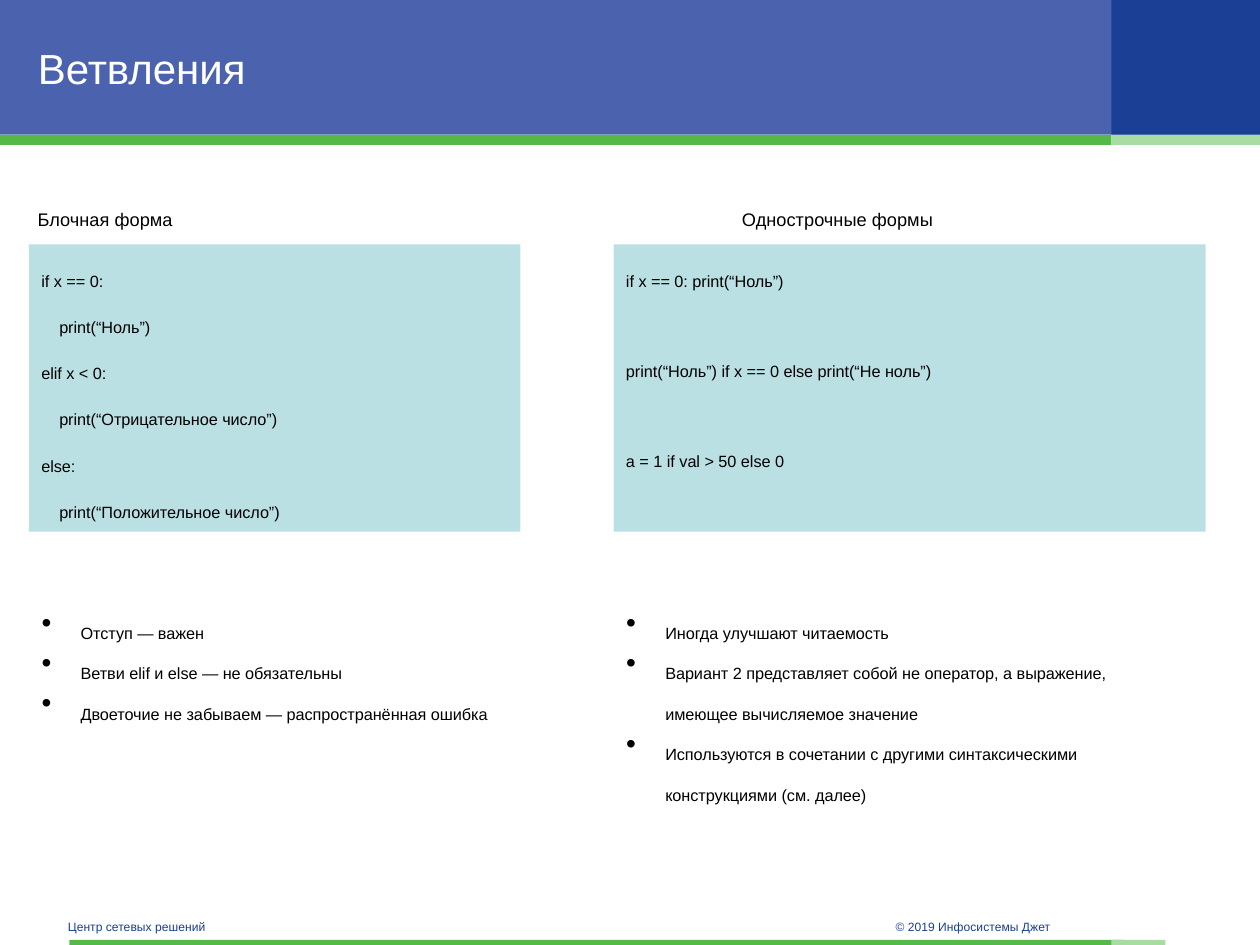
from lxml.etree import SubElement
from pptx import Presentation
from pptx.dml.color import RGBColor
from pptx.enum.shapes import MSO_SHAPE
from pptx.enum.text import MSO_ANCHOR, MSO_AUTO_SIZE, PP_ALIGN
from pptx.oxml.ns import qn
from pptx.util import Inches, Pt

BLUE = RGBColor(0x4B, 0x63, 0xAE)
NAVY = RGBColor(0x1B, 0x3F, 0x94)
GREEN = RGBColor(0x54, 0xB9, 0x48)
LIGHT_GREEN = RGBColor(0xA9, 0xDC, 0xA3)
PALE_TEAL = RGBColor(0xBB, 0xE0, 0xE3)
WHITE = RGBColor(0xFF, 0xFF, 0xFF)
BLACK = RGBColor(0x00, 0x00, 0x00)

SUBSCRIPT = "-33000"
LINE_GAP = 3.2
BLOCK_GAP = 28.2

BARS = [
    (0, 0, 10, 1.07, BLUE),
    (8.82, 0, 1.18, 1.07, NAVY),
    (0, 1.07, 8.82, 0.08, GREEN),
    (8.82, 1.07, 1.18, 0.08, LIGHT_GREEN),
    (0.55, 7.46, 8.37, 0.04, GREEN),
    (8.82, 7.46, 0.43, 0.04, LIGHT_GREEN),
]
BLOCK_CODE = [
    "if x == 0:",
    "    print(“Ноль”)",
    "elif x < 0:",
    "    print(“Отрицательное число”)",
    "else:",
    "    print(“Положительное число”)",
]
ONE_LINE_CODE = [
    "if x == 0: print(“Ноль”)",
    "print(“Ноль”) if x == 0 else print(“Не ноль”)",
    "a = 1 if val > 50 else 0",
]
BLOCK_NOTES = [
    "Отступ — важен",
    "Ветви elif и else — не обязательны",
    "Двоеточие не забываем — распространённая ошибка",
]
ONE_LINE_NOTES = [
    "Иногда улучшают читаемость",
    "Вариант 2 представляет собой не оператор, а выражение, имеющее вычисляемое значение",
    "Используются в сочетании с другими синтаксическими конструкциями (см. далее)",
]


def place(shape, left, top, width, height):
    shape.left, shape.top = Inches(left), Inches(top)
    shape.width, shape.height = Inches(width), Inches(height)


def format_spans(para, size, color):
    para.alignment = PP_ALIGN.LEFT
    for span in para.runs:
        span.font.name = "Arial"
        span.font.size = Pt(size)
        span.font.color.rgb = color


def lower_spans(para):
    for span in para.runs:
        span.font._element.set("baseline", SUBSCRIPT)


def write_lines(frame, lines, size, color, gap=0):
    frame.word_wrap = True
    frame.text = "\n".join(lines)
    for index, para in enumerate(frame.paragraphs):
        para.space_before = Pt(gap if index else 0)
        format_spans(para, size, color)
        lower_spans(para)


def add_bar(slide, left, top, width, height, color):
    bar = slide.shapes.add_shape(
        MSO_SHAPE.RECTANGLE, Inches(left), Inches(top), Inches(width), Inches(height))
    bar.shadow.inherit = False
    bar.fill.solid()
    bar.fill.fore_color.rgb = color
    bar.line.fill.background()
    return bar


def add_label(slide, text, left, top, width, height, size, color, anchor):
    box = slide.shapes.add_textbox(
        Inches(left), Inches(top), Inches(width), Inches(height))
    box.text_frame.vertical_anchor = anchor
    write_lines(box.text_frame, [text], size, color)


def add_code(slide, lines, left, width, gap):
    panel = add_bar(slide, left, 1.94, width, 2.28, PALE_TEAL)
    panel.text_frame.vertical_anchor = MSO_ANCHOR.TOP
    write_lines(panel.text_frame, lines, 16, BLACK, gap)


def fill_title(slide, text):
    title = slide.shapes.title
    place(title, 0.2, 0.14, 8.43, 0.79)
    frame = title.text_frame
    frame.text = text
    frame.auto_size = MSO_AUTO_SIZE.NONE
    frame.vertical_anchor = MSO_ANCHOR.MIDDLE
    format_spans(frame.paragraphs[0], 24, WHITE)
    slide.shapes.element.append(title.element)


def fill_notes(body, lines, left, height):
    place(body, left, 4.73, 4.45, height)
    frame = body.text_frame
    frame.auto_size = MSO_AUTO_SIZE.NONE
    write_lines(frame, lines, 16, BLACK)
    for para in frame.paragraphs:
        properties = para._p.get_or_add_pPr()
        properties.set("marL", str(Inches(0.31)))
        properties.set("indent", str(-Inches(0.31)))
        SubElement(properties, qn("a:buFont")).set("typeface", "Arial")
        SubElement(properties, qn("a:buChar")).set("char", "•")


def main():
    deck = Presentation()
    deck.slide_width, deck.slide_height = Inches(10), Inches(7.5)
    slide = deck.slides.add_slide(deck.slide_layouts[3])

    for bar in BARS:
        add_bar(slide, *bar)
    add_label(slide, "© 2019 Инфосистемы Джет", 7.01, 7.19, 2.36, 0.2,
              12, NAVY, MSO_ANCHOR.MIDDLE)
    add_label(slide, "Центр сетевых решений", 0.44, 7.18, 3.3, 0.23,
              12, NAVY, MSO_ANCHOR.MIDDLE)
    fill_title(slide, "Ветвления")

    add_label(slide, "Блочная форма", 0.2, 1.42, 2.44, 0.4,
              18, BLACK, MSO_ANCHOR.TOP)
    add_code(slide, BLOCK_CODE, 0.23, 3.9, LINE_GAP)
    add_label(slide, "Однострочные формы", 5.79, 1.42, 3.31, 0.4,
              18, BLACK, MSO_ANCHOR.TOP)
    add_code(slide, ONE_LINE_CODE, 4.87, 4.7, BLOCK_GAP)

    fill_notes(slide.placeholders[1], BLOCK_NOTES, 0.23, 1.18)
    fill_notes(slide.placeholders[2], ONE_LINE_NOTES, 4.87, 1.99)
    deck.save("out.pptx")


if __name__ == "__main__":
    main()
